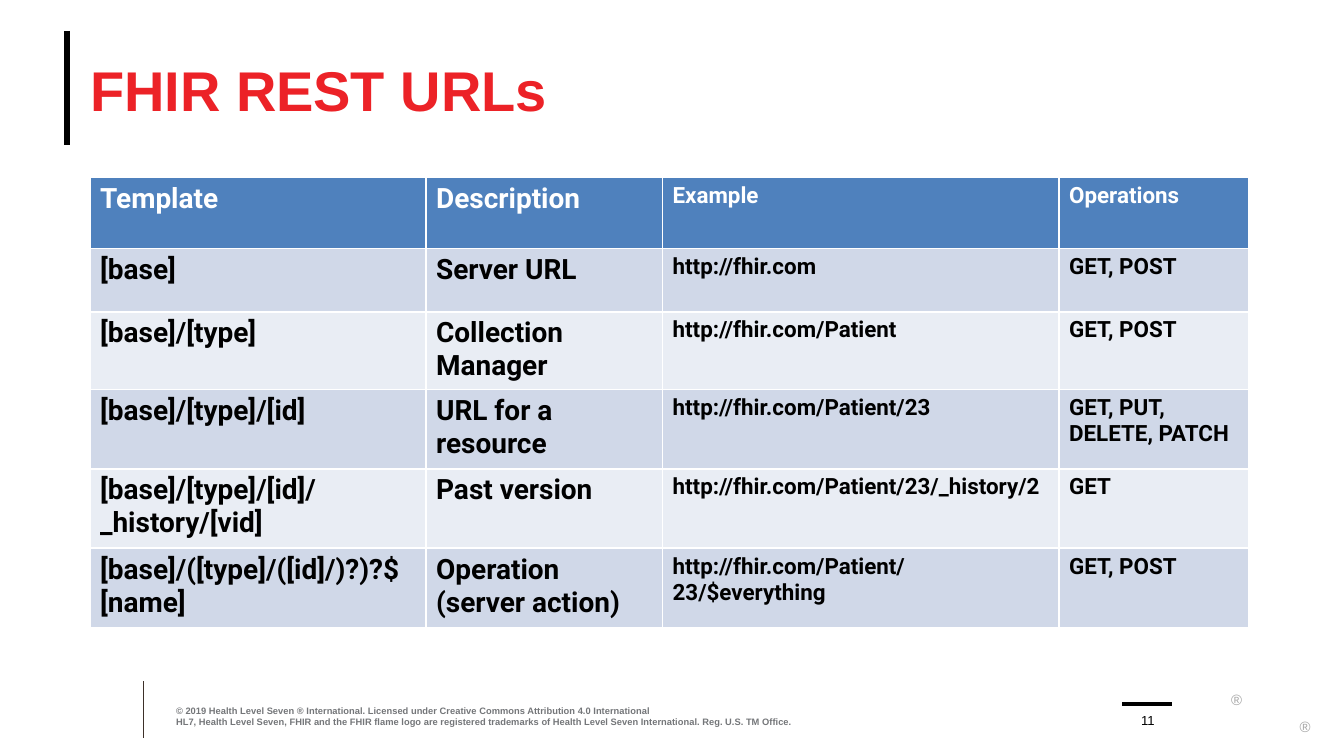
from lxml import etree
from pptx import Presentation
from pptx.dml.color import RGBColor
from pptx.enum.shapes import MSO_CONNECTOR
from pptx.enum.text import MSO_ANCHOR, PP_ALIGN
from pptx.oxml.ns import qn
from pptx.util import Inches, Pt

LINE = MSO_CONNECTOR.STRAIGHT
TOP, MID, LOW = MSO_ANCHOR.TOP, MSO_ANCHOR.MIDDLE, MSO_ANCHOR.BOTTOM
LEFT, MIDDLE = PP_ALIGN.LEFT, PP_ALIGN.CENTER

TITLE = "FHIR REST URLs"
LEGAL = [
    "© 2019 Health Level Seven ® International. Licensed under Creative Commons Attribution 4.0 International",
    "HL7, Health Level Seven, FHIR and the FHIR flame logo are registered trademarks of Health Level Seven International. Reg. U.S. TM Office.",
]
PAGE = "11"
ROWS = [
    ("Template", "Description", "Example", "Operations"),
    ("[base]", "Server URL", "http://fhir.com", "GET, POST"),
    ("[base]/[type]", "Collection Manager", "http://fhir.com/Patient", "GET, POST"),
    ("[base]/[type]/[id]", "URL for a resource", "http://fhir.com/Patient/23", "GET, PUT, DELETE, PATCH"),
    ("[base]/[type]/[id]/_history/[vid]", "Past version", "http://fhir.com/Patient/23/_history/2", "GET"),
    ("[base]/([type]/([id]/)?)?$[name]", "Operation (server action)", "http://fhir.com/Patient/23/$everything", "GET, POST"),
]
WIDTHS = [2.5, 1.76, 2.95, 1.41]
HEIGHTS = [0.53, 0.47, 0.58, 0.59, 0.59, 0.59]
SIZES = [15, 15, 12, 12]
HEAD, BANDS = "4F81BD", ("E9EDF4", "D0D8E8")
RULES = [
    (0.5, 0.23, 0.5, 1.08, "000000", 3.25),
    (1.07, 5.07, 1.07, 5.49, "3D3029", 0.5),
    (8.35, 5.24, 8.72, 5.24, "000000", 2),
]
MARKS = [(9.16, 5.14), (9.67, 5.34)]


def color(code):
    return RGBColor.from_string(code)


def add_run(para, text, size, code, bold=False, face="Arial"):
    run = para.add_run()
    run.text = text
    font = run.font
    font.name, font.size, font.bold = face, Pt(size), bold
    font.color.rgb = color(code)


def add_text(slide, box, lines, size, code, bold=False, anchor=TOP, align=LEFT, wrap=True):
    frame = slide.shapes.add_textbox(*map(Inches, box)).text_frame
    frame.word_wrap = wrap
    frame.vertical_anchor = anchor
    frame.margin_left = frame.margin_right = frame.margin_top = frame.margin_bottom = 0
    for i, line in enumerate(lines):
        para = frame.add_paragraph() if i else frame.paragraphs[0]
        para.alignment = align
        add_run(para, line, size, code, bold)


def add_rule(slide, x1, y1, x2, y2, code, width):
    rule = slide.shapes.add_connector(LINE, *map(Inches, (x1, y1, x2, y2)))
    rule.line.color.rgb = color(code)
    rule.line.width = Pt(width)
    etree.SubElement(rule._element.spPr, qn("a:effectLst"))


def set_edges(cell):
    props = cell._tc.get_or_add_tcPr()
    for i, side in enumerate(("lnL", "lnR", "lnT", "lnB")):
        edge = etree.Element(qn("a:" + side), w=str(Pt(1)))
        fill = etree.SubElement(edge, qn("a:solidFill"))
        etree.SubElement(fill, qn("a:srgbClr"), val="FFFFFF")
        props.insert(i, edge)


def add_grid(slide):
    box = (0.67, 1.32, sum(WIDTHS), sum(HEIGHTS))
    grid = slide.shapes.add_table(len(ROWS), len(WIDTHS), *map(Inches, box)).table
    for col, width in zip(grid.columns, WIDTHS):
        col.width = Inches(width)
    for r, texts in enumerate(ROWS):
        grid.rows[r].height = Inches(HEIGHTS[r])
        for c, text in enumerate(texts):
            cell = grid.cell(r, c)
            cell.margin_left = cell.margin_right = Pt(5.4)
            cell.margin_top = cell.margin_bottom = Pt(2.7)
            cell.fill.solid()
            cell.fill.fore_color.rgb = color(BANDS[r % 2] if r else HEAD)
            set_edges(cell)
            ink = "000000" if r else "FFFFFF"
            add_run(cell.text_frame.paragraphs[0], text, SIZES[c], ink, True, "Roboto")


def main():
    deck = Presentation()
    deck.slide_width, deck.slide_height = Inches(10), Inches(10 * 9 / 16)
    slide = deck.slides.add_slide(deck.slide_layouts[6])
    for rule in RULES:
        add_rule(slide, *rule)
    for x, y in MARKS:
        add_text(slide, (x, y, 0.11, 0.09), ["®"], 8, "A6A6A6", wrap=False)
    add_text(slide, (0.67, 0.23, 9, 0.86), [TITLE], 30, "EC2227", True, MID)
    add_text(slide, (1.31, 5.24, 4.95, 0.17), LEGAL, 5, "747679", True, LOW)
    add_text(slide, (8.39, 5.25, 0.3, 0.17), [PAGE], 7, "000000", False, LOW, MIDDLE)
    add_grid(slide)
    deck.save("out.pptx")


if __name__ == "__main__":
    main()
